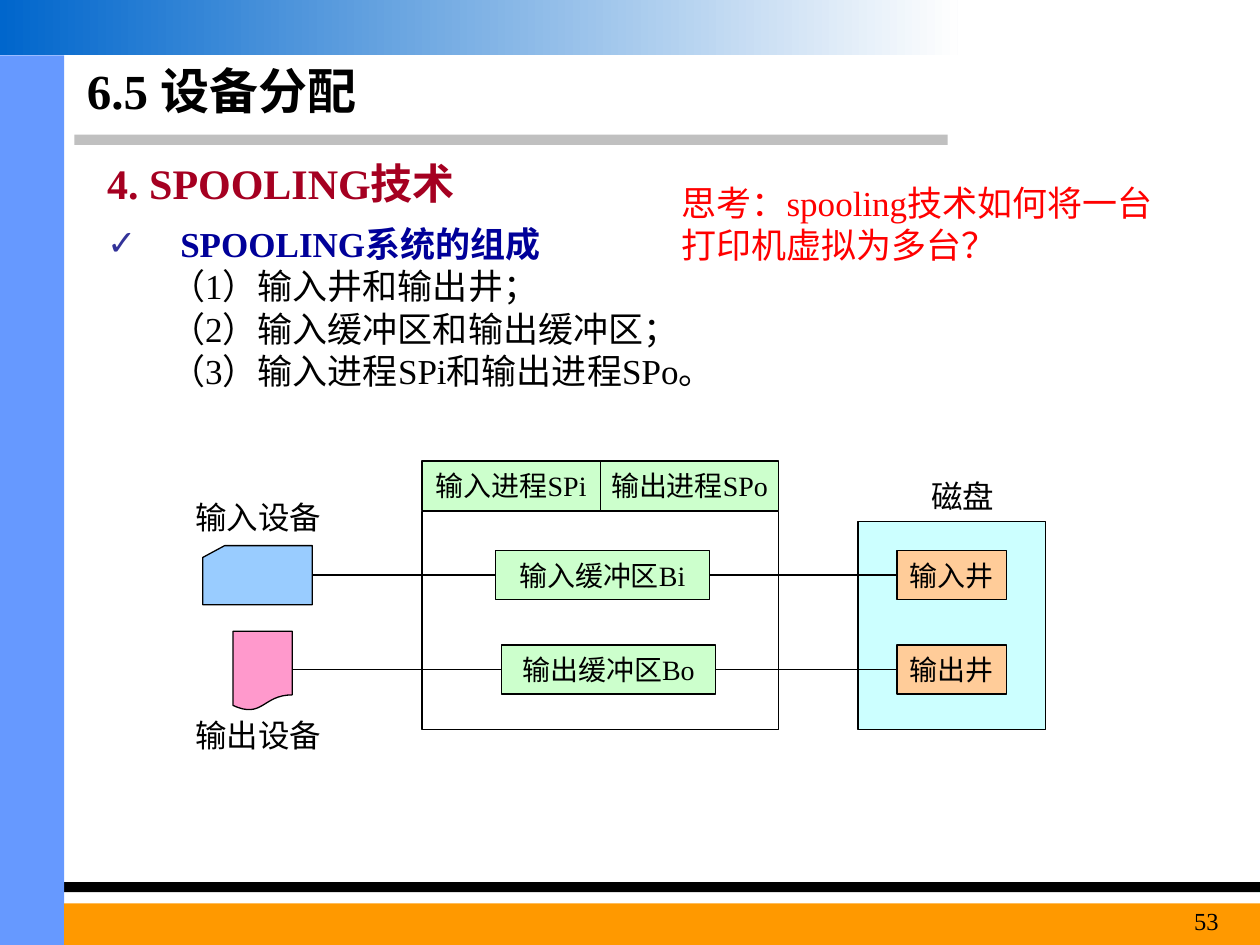
from lxml import etree
from pptx import Presentation
from pptx.dml.color import RGBColor
from pptx.enum import shapes, text
from pptx.oxml import ns
from pptx.util import Pt

FONT = "Times New Roman"
BLACK = "000000"
GREEN, ORANGE = "CCFFCC", "FFCC99"
BOX_HEIGHT = 28.1
LEFT, CENTER, RIGHT = text.PP_ALIGN.LEFT, text.PP_ALIGN.CENTER, text.PP_ALIGN.RIGHT


def color(hex_value):
    return RGBColor.from_string(hex_value)


def lengths(*values):
    return [Pt(value) for value in values]


def add_run(paragraph, words, size, hex_value=BLACK, bold=False):
    run = paragraph.add_run()
    run.text = words
    run.font.name = FONT
    run.font.size = Pt(size)
    run.font.bold = bold
    run.font.color.rgb = color(hex_value)


def place(placeholder, left, top, width, height, anchor):
    """Move a placeholder and return its text frame."""
    placeholder.left, placeholder.top, placeholder.width, placeholder.height = lengths(
        left, top, width, height)
    frame = placeholder.text_frame
    frame.auto_size = text.MSO_AUTO_SIZE.NONE
    frame.vertical_anchor = anchor
    return frame


def set_bullet(paragraph, margin, indent, mark=None, mark_color=BLACK):
    properties = paragraph._p.get_or_add_pPr()
    properties.set("marL", str(Pt(margin)))
    properties.set("indent", str(Pt(indent)))
    if mark is None:
        etree.SubElement(properties, ns.qn("a:buNone"))
        return
    tint = etree.SubElement(properties, ns.qn("a:buClr"))
    etree.SubElement(tint, ns.qn("a:srgbClr"), val=mark_color)
    etree.SubElement(properties, ns.qn("a:buChar"), char=mark)


def add_block(slide, left, top, width, height, fill=None, outlined=True,
              kind=shapes.MSO_SHAPE.RECTANGLE):
    block = slide.shapes.add_shape(kind, *lengths(left, top, width, height))
    block.shadow.inherit = False
    if fill:
        block.fill.solid()
        block.fill.fore_color.rgb = color(fill)
    else:
        block.fill.background()
    if outlined:
        block.line.color.rgb = color(BLACK)
        block.line.width = Pt(0.75)
    else:
        block.line.fill.background()
    return block


def add_named_block(slide, name, left, top, width, fill):
    block = add_block(slide, left, top, width, BOX_HEIGHT, fill)
    frame = block.text_frame
    frame.word_wrap = False
    frame.vertical_anchor = text.MSO_ANCHOR.MIDDLE
    frame.paragraphs[0].alignment = CENTER
    add_run(frame.paragraphs[0], name, 16)


def add_label(slide, words, left, top, width, height, size,
              hex_value=BLACK, bold=False, align=LEFT):
    label = slide.shapes.add_textbox(*lengths(left, top, width, height))
    label.text_frame.word_wrap = True
    paragraph = label.text_frame.paragraphs[0]
    paragraph.alignment = align
    add_run(paragraph, words, size, hex_value, bold)


def add_link(slide, start, end, y):
    link = slide.shapes.add_connector(
        shapes.MSO_CONNECTOR.STRAIGHT, *lengths(start, y, end, y))
    link.line.color.rgb = color(BLACK)
    link.line.width = Pt(0.75)
    etree.SubElement(link._element.spPr, ns.qn("a:effectLst"))


def add_frame_bars(slide):
    for left, top, width, height, fill in (
        (42.5, 77, 499, 5.8, "C0C0C0"),
        (0, 504, 720, 5.8, BLACK),
        (0, 31.7, 36.7, 508.3, "6699FF"),
        (36.7, 516.2, 683.3, 23.8, "FF9900"),
    ):
        add_block(slide, left, top, width, height, fill, outlined=False)
    banner = add_block(slide, 0, 0, 547.2, 31.7, outlined=False)
    banner.fill.gradient()
    banner.fill.gradient_angle = 0
    for stop, hex_value in zip(banner.fill.gradient_stops, ("0066CC", "FEFEFE")):
        stop.color.rgb = color(hex_value)


def add_title(slide):
    frame = place(slide.shapes.title, 42.5, 31.7, 493.2, 39.6, text.MSO_ANCHOR.MIDDLE)
    frame.paragraphs[0].alignment = LEFT
    add_run(frame.paragraphs[0], "6.5 设备分配", 28, bold=True)


def add_components(slide):
    frame = place(slide.placeholders[1], 54, 128.2, 652.3, 108, text.MSO_ANCHOR.TOP)
    heading = frame.paragraphs[0]
    set_bullet(heading, 41.8, -41.8, "✓", "333399")
    heading.line_spacing = 0.8
    heading.space_before = Pt(0)
    add_run(heading, "SPOOLING系统的组成", 20, "000099", bold=True)
    for words in ("（1）输入井和输出井；",
                  "（2）输入缓冲区和输出缓冲区；",
                  "（3）输入进程SPi和输出进程SPo。"):
        component = frame.add_paragraph()
        component.level = 1
        set_bullet(component, 72, -36)
        component.line_spacing = 0.8
        component.space_before = Pt(5)
        add_run(component, words, 20)


def add_diagram(slide):
    # Memory with its two processes, and the disk
    memory_left, process_width = 241.2, 101.9
    add_block(slide, memory_left, 292.3, 2 * process_width, 124.6)
    for column, process in enumerate(("输入进程SPi", "输出进程SPo")):
        add_named_block(slide, process, memory_left + column * process_width,
                        263.5, process_width, GREEN)
    add_block(slide, 490.3, 298.1, 107.3, 118.8, "CCFFFF")

    # Input and output devices
    add_block(slide, 115.9, 311.8, 62.6, 33.8, "99CCFF",
              kind=shapes.MSO_SHAPE.FLOWCHART_CARD)
    add_block(slide, 133.2, 360.7, 33.8, 45.4, "FF99CC",
              kind=shapes.MSO_SHAPE.FLOWCHART_DOCUMENT)

    # Each row runs from device to buffer to well
    buffer_width, well_left = 122.4, 512.6
    for top, device_right, buffer_left, buffer, well in (
        (314.6, 178.5, 283, "输入缓冲区Bi", "输入井"),
        (368.6, 167, 286.6, "输出缓冲区Bo", "输出井"),
    ):
        middle = top + BOX_HEIGHT / 2
        add_named_block(slide, buffer, buffer_left, top, buffer_width, GREEN)
        add_named_block(slide, well, well_left, top, 62.6, ORANGE)
        add_link(slide, device_right, buffer_left, middle)
        add_link(slide, buffer_left + buffer_width, well_left, middle)

    for words, left, top in (("磁盘", 501.8, 269.3),
                             ("输入设备", 99.4, 280.8),
                             ("输出设备", 99.4, 405.4)):
        add_label(slide, words, left, top, 96.5, 28.8, 18, align=CENTER)


def main():
    deck = Presentation()
    deck.slide_width, deck.slide_height = lengths(720, 540)
    slide = deck.slides.add_slide(deck.slide_layouts[1])
    add_frame_bars(slide)
    add_title(slide)
    add_components(slide)
    add_diagram(slide)
    # Section heading, question and page number
    add_label(slide, "4. SPOOLING技术", 54.2, 86.4, 634.8, 36, 24, "A50021", bold=True)
    add_label(slide, "思考：spooling技术如何将一台打印机虚拟为多台？",
              382.3, 100.1, 283.7, 55.4, 20, "FF0000")
    add_label(slide, "53", 637.9, 514.1, 65.5, 25.9, 14, align=RIGHT)
    deck.save("out.pptx")


if __name__ == "__main__":
    main()
